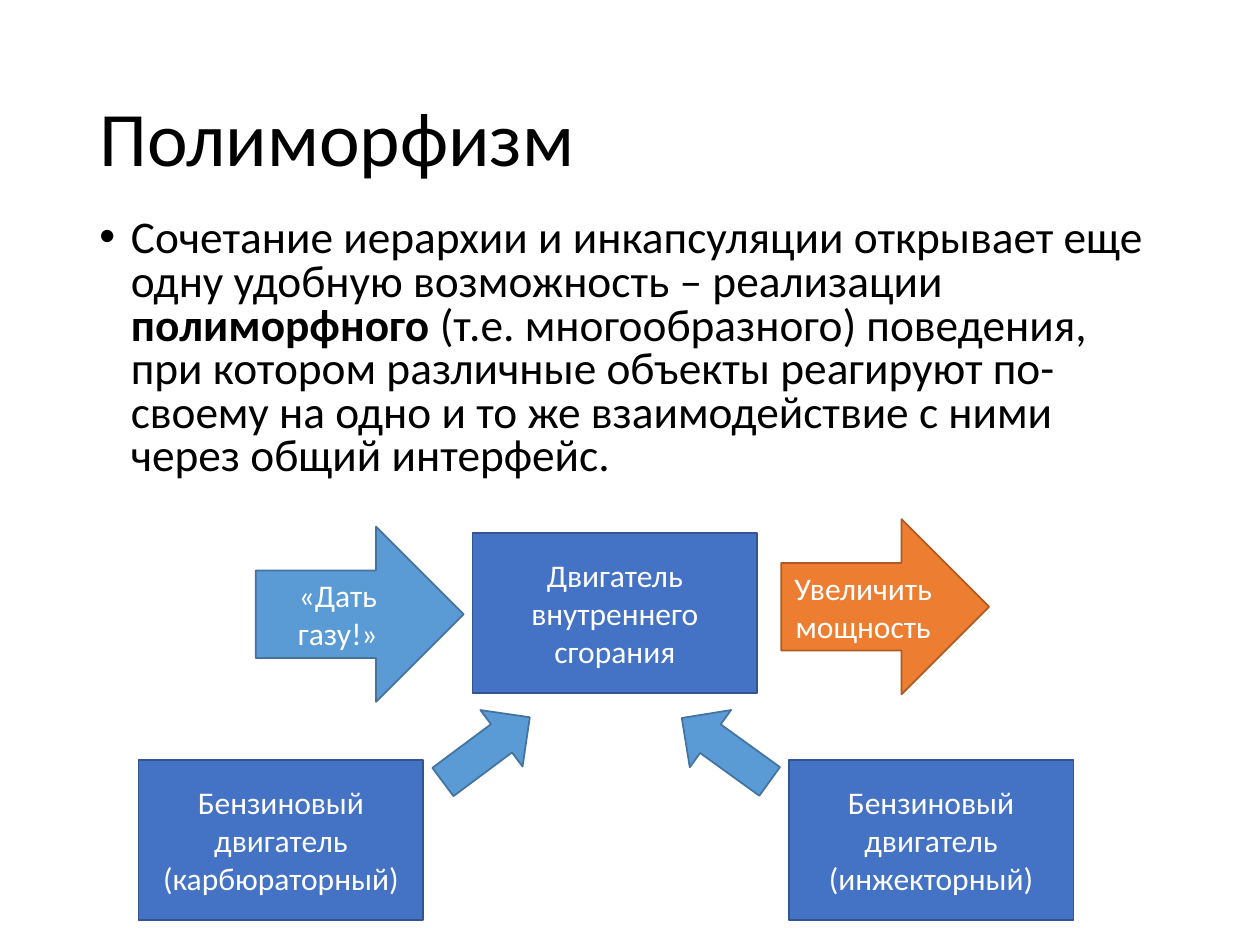
from dataclasses import dataclass

from lxml import etree
from pptx import Presentation
from pptx import util as u
from pptx.dml.color import RGBColor
from pptx.enum import shapes, text
from pptx.oxml import ns


@dataclass(frozen=True)
class Theme:
    """Fonts, type sizes and (fill, line) colour pairs of the slide."""
    font: str = "Calibri"
    title_size: float = 44
    body_size: float = 25.9
    label_size: float = 18
    ink: str = "000000"
    label_ink: str = "FFFFFF"
    engine: tuple = ("4472C4", "325491")
    signal: tuple = ("5B9BD5", "43739E")
    result: tuple = ("ED7D31", "AF5C24")


THEME = Theme()
SHAPE = shapes.MSO_SHAPE


def add_bullet(paragraph, indent):
    """Give the paragraph a round bullet with a hanging indent."""
    properties = paragraph._p.get_or_add_pPr()
    properties.set("marL", str(u.Inches(indent)))
    properties.set("indent", str(-u.Inches(indent)))
    etree.SubElement(properties, ns.qn("a:buFont"), typeface="Arial")
    etree.SubElement(properties, ns.qn("a:buChar"), char="•")


def write_text(frame, paragraphs, size, color, align=text.PP_ALIGN.LEFT,
               anchor=text.MSO_ANCHOR.MIDDLE, spacing=None, indent=None):
    """Write paragraphs, each a list of (words, bold) runs, into a text frame."""
    frame.word_wrap = True
    frame.vertical_anchor = anchor
    for index, runs in enumerate(paragraphs):
        paragraph = frame.paragraphs[0] if index == 0 else frame.add_paragraph()
        paragraph.alignment = align
        if spacing:
            paragraph.line_spacing = spacing
        if indent:
            add_bullet(paragraph, indent)
        for words, bold in runs:
            run = paragraph.add_run()
            run.text = words
            run.font.name = THEME.font
            run.font.size = u.Pt(size)
            run.font.bold = bold
            run.font.color.rgb = RGBColor.from_string(color)


def add_text(slide, box, paragraphs, **text_format):
    """Place a text box in the given box."""
    frame = slide.shapes.add_textbox(*map(u.Inches, box)).text_frame
    write_text(frame, paragraphs, color=THEME.ink, **text_format)


def add_block(slide, kind, box, colors, lines=(), rotation=0):
    """Place a filled shape with centred label lines in the given box."""
    shape = slide.shapes.add_shape(kind, *map(u.Inches, box))
    shape.shadow.inherit = False
    shape.rotation = rotation
    fill, line = colors
    shape.fill.solid()
    shape.fill.fore_color.rgb = RGBColor.from_string(fill)
    shape.line.color.rgb = RGBColor.from_string(line)
    shape.line.width = u.Pt(1)
    write_text(shape.text_frame, [[(words, False)] for words in lines],
               THEME.label_size, THEME.label_ink, align=text.PP_ALIGN.CENTER)


def add_title(slide, box):
    """Place the slide title."""
    add_text(slide, box, [[("Полиморфизм", False)]], size=THEME.title_size, spacing=0.9)


def add_definition(slide, box):
    """Place the bulleted definition of polymorphism."""
    runs = [
        ("Сочетание иерархии и инкапсуляции открывает еще одну удобную "
         "возможность – реализации ", False),
        ("полиморфного ", True),
        ("(т.е. многообразного) поведения, при котором различные объекты реагируют "
         "по-своему на одно и то же взаимодействие с ними через общий интерфейс.", False),
    ]
    add_text(slide, box, [runs], size=THEME.body_size, spacing=0.8, indent=0.25,
             anchor=text.MSO_ANCHOR.TOP)


def add_engine_diagram(slide, box):
    """Place the general engine, its signal and result, and its two variants."""
    left, top, width, height = box
    engine_width, engine_height = 2.26, 1.27
    engines = [
        (2.65, 0.11, ["Двигатель", "внутреннего сгорания"]),
        (0, height - engine_height, ["Бензиновый двигатель (карбюраторный)"]),
        (width - engine_width, height - engine_height,
         ["Бензиновый двигатель (инжекторный)"]),
    ]
    for x, y, lines in engines:
        add_block(slide, SHAPE.RECTANGLE,
                  (left + x, top + y, engine_width, engine_height), THEME.engine, lines)

    flows = [(0.93, 0.06, THEME.signal, "«Дать газу!»"),
             (5.1, 0, THEME.result, "Увеличить мощность")]
    for x, y, colors, label in flows:
        add_block(slide, SHAPE.RIGHT_ARROW, (left + x, top + y, 1.65, 1.39), colors, [label])

    for x, rotation in ((2.48, 53.3), (4.38, 305.8)):
        add_block(slide, SHAPE.UP_ARROW, (left + x, top + 1.4, 0.56, 0.86),
                  THEME.signal, rotation=rotation)


def main():
    """Build the slide and save it."""
    presentation = Presentation()
    presentation.slide_width, presentation.slide_height = u.Inches(10), u.Inches(7.5)
    slide = presentation.slides.add_slide(presentation.slide_layouts[6])
    add_title(slide, (0.69, 0.4, 8.62, 1.45))
    add_definition(slide, (0.69, 1.69, 8.62, 2.36))
    add_engine_diagram(slide, (1.1, 4.12, 7.42, 3.18))
    presentation.save("out.pptx")


if __name__ == "__main__":
    main()
